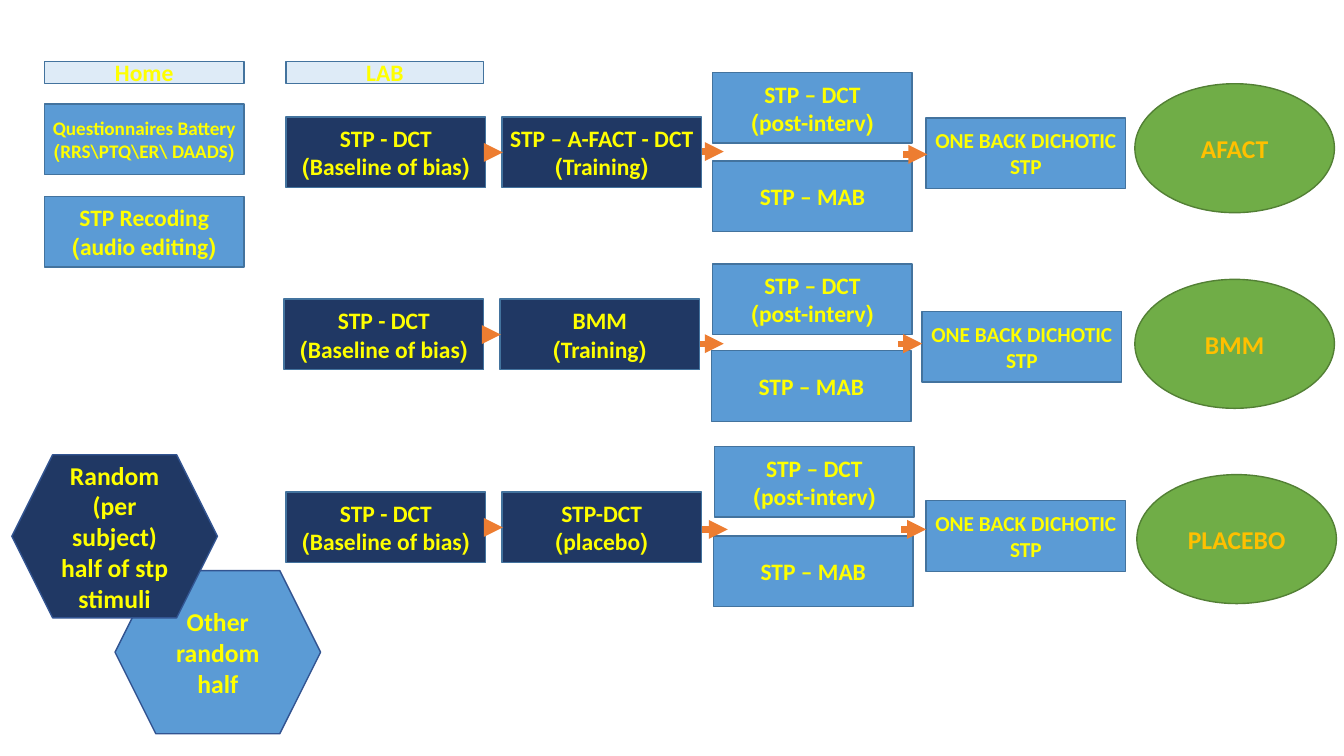
from pptx import Presentation, util as u
from pptx.dml.color import RGBColor
from pptx.enum import shapes, text
from pptx.oxml.ns import qn
from lxml import etree

INK = {"blue": "5B9BD5", "navy": "203864", "pale": "DEEBF7", "green": "70AD47",
       "edge": "43739E", "rim": "538035", "side": "325491",
       "yellow": "FFFF00", "gold": "FFC000", "orange": "ED7D31"}
FONT = "Calibri"
KIND = shapes.MSO_SHAPE

# Styles: preset, fill, line, text colour, text size, tight insets
STYLE = {
    "task": (KIND.RECTANGLE, "blue", "edge", "yellow", 16.8, True),
    "step": (KIND.RECTANGLE, "navy", "edge", "yellow", 16.8, True),
    "form": (KIND.RECTANGLE, "blue", "edge", "yellow", 13.7, True),
    "back": (KIND.RECTANGLE, "blue", "edge", "yellow", 15.2, True),
    "place": (KIND.RECTANGLE, "pale", "edge", "yellow", 16.8, True),
    "group": (KIND.OVAL, "green", "rim", "gold", 18.3, True),
    "half": (KIND.HEXAGON, "blue", "side", "yellow", 18.3, False),
    "rand": (KIND.HEXAGON, "navy", "side", "yellow", 18.3, False),
}
BOX, OVAL, HEX = (5.03, 1.78), (5.03, 3.25), (5.18, 4.11)

# Study arms, lengths in cm: (left, top) of each part, then arrows (from x, to x, y)
ARMS = [
    {"name": "AFACT", "train": ["STP – A-FACT - DCT", "(Training)"],
     "base": (7.21, 2.95), "post": (17.96, 1.83), "mab": (17.96, 4.06),
     "back": (23.34, 2.97), "oval": (28.6, 2.11),
     "arrows": [(17.68, 18.24, 3.82), (22.76, 23.37, 3.89)]},
    {"name": "BMM", "train": ["BMM", "(Training)"],
     "base": (7.16, 7.54), "post": (17.96, 6.65), "mab": (17.93, 8.84),
     "back": (23.24, 7.85), "oval": (28.6, 7.04),
     "arrows": [(17.63, 18.24, 8.66), (22.63, 23.24, 8.66)]},
    {"name": "PLACEBO", "train": ["STP-DCT", "(placebo)"],
     "base": (7.21, 12.4), "post": (18.01, 11.25), "mab": (17.98, 13.51),
     "back": (23.34, 12.62), "oval": (28.65, 11.96),
     "arrows": [(17.7, 18.34, 13.34), (22.71, 23.34, 13.34)]},
]
STEP = 5.44  # from baseline box to training box

# Parts outside the arms: style, position, size, lines
EXTRA = [
    ("place", (1.12, 1.55), (5.03, 0.56), ["Home"]),
    ("place", (7.21, 1.55), (4.98, 0.56), ["LAB"]),
    ("form", (1.12, 2.62), BOX, ["Questionnaires Battery", "(RRS\\PTQ\\ER\\ DAADS)"]),
    ("task", (1.12, 4.95), BOX, ["STP Recoding", "(audio editing)"]),
    ("half", (2.9, 14.38), HEX, ["Other random half"]),
    ("rand", (0.3, 11.46), HEX, ["Random (per subject) half of stp stimuli"]),
]

prs = Presentation()
prs.slide_width, prs.slide_height = u.Cm(33.87), u.Cm(19.05)
slide = prs.slides.add_slide(prs.slide_layouts[6])


def tint(name):
    return RGBColor.from_string(INK[name])


def block(style, pos, size, lines):
    kind, fill, edge, ink, pts, tight = STYLE[style]
    shape = slide.shapes.add_shape(kind, *map(u.Cm, pos + size))
    shape.shadow.inherit = False
    shape.fill.solid()
    shape.fill.fore_color.rgb = tint(fill)
    shape.line.color.rgb = tint(edge)
    shape.line.width = u.Pt(1)
    frame = shape.text_frame
    frame.word_wrap = True
    frame.vertical_anchor = text.MSO_ANCHOR.MIDDLE
    if tight:
        frame.margin_left = frame.margin_right = u.Cm(0.1)
        frame.margin_top = frame.margin_bottom = u.Cm(0.05)
    for i, line in enumerate(lines):
        para = frame.add_paragraph() if i else frame.paragraphs[0]
        para.alignment = text.PP_ALIGN.CENTER
        para._p.get_or_add_pPr().set("rtl", "1")
        run = para.add_run()
        run.text = line
        run.font.name, run.font.size, run.font.bold = FONT, u.Pt(pts), True
        run.font.color.rgb = tint(ink)


def arrow(left, right, y):
    line = slide.shapes.add_connector(
        shapes.MSO_CONNECTOR.STRAIGHT, *map(u.Cm, (left, y, right, y)))
    line.line.color.rgb = tint("orange")
    line.line.width = u.Pt(4.5)
    etree.SubElement(line.line._get_or_add_ln(), qn("a:tailEnd"), type="triangle")
    etree.SubElement(line._element.spPr, qn("a:effectLst"))


# Arms: boxes first, then arrows on top
for arm in ARMS:
    x, y = arm["base"]
    block("task", arm["mab"], BOX, ["STP – MAB"])
    block("step", (x, y), BOX, ["STP - DCT", "(Baseline of bias)"])
    block("step", (x + STEP, y), BOX, arm["train"])
    block("task", arm["post"], BOX, ["STP – DCT", "(post-interv)"])
    block("back", arm["back"], BOX, ["ONE BACK DICHOTIC", "STP"])
    block("group", arm["oval"], OVAL, [arm["name"]])
    first = (x + BOX[0], x + STEP + 0.02, y + BOX[1] / 2)
    for ends in [first] + arm["arrows"]:
        arrow(*ends)

# Places, preparation and stimulus halves
for part in EXTRA:
    block(*part)

prs.save("out.pptx")
